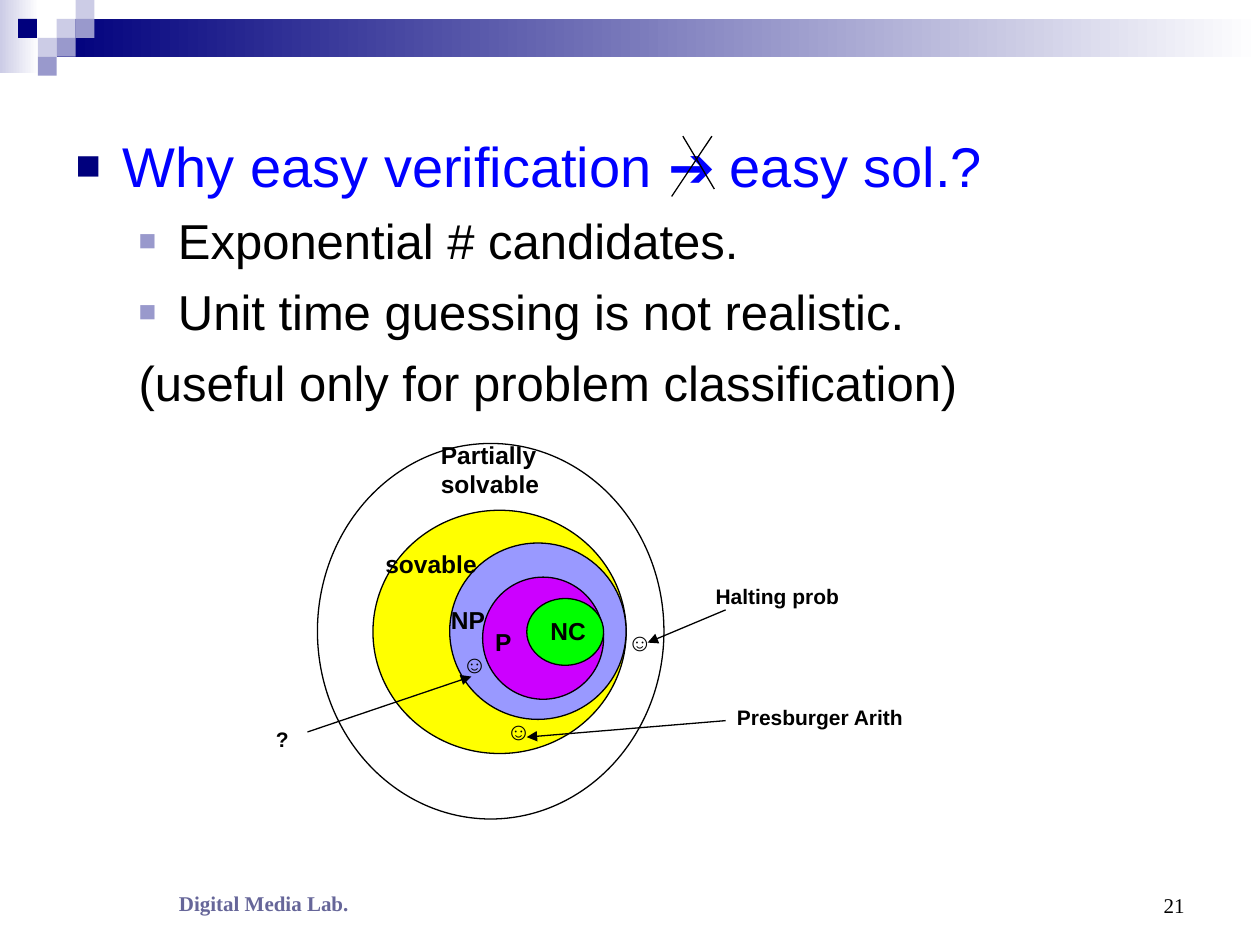
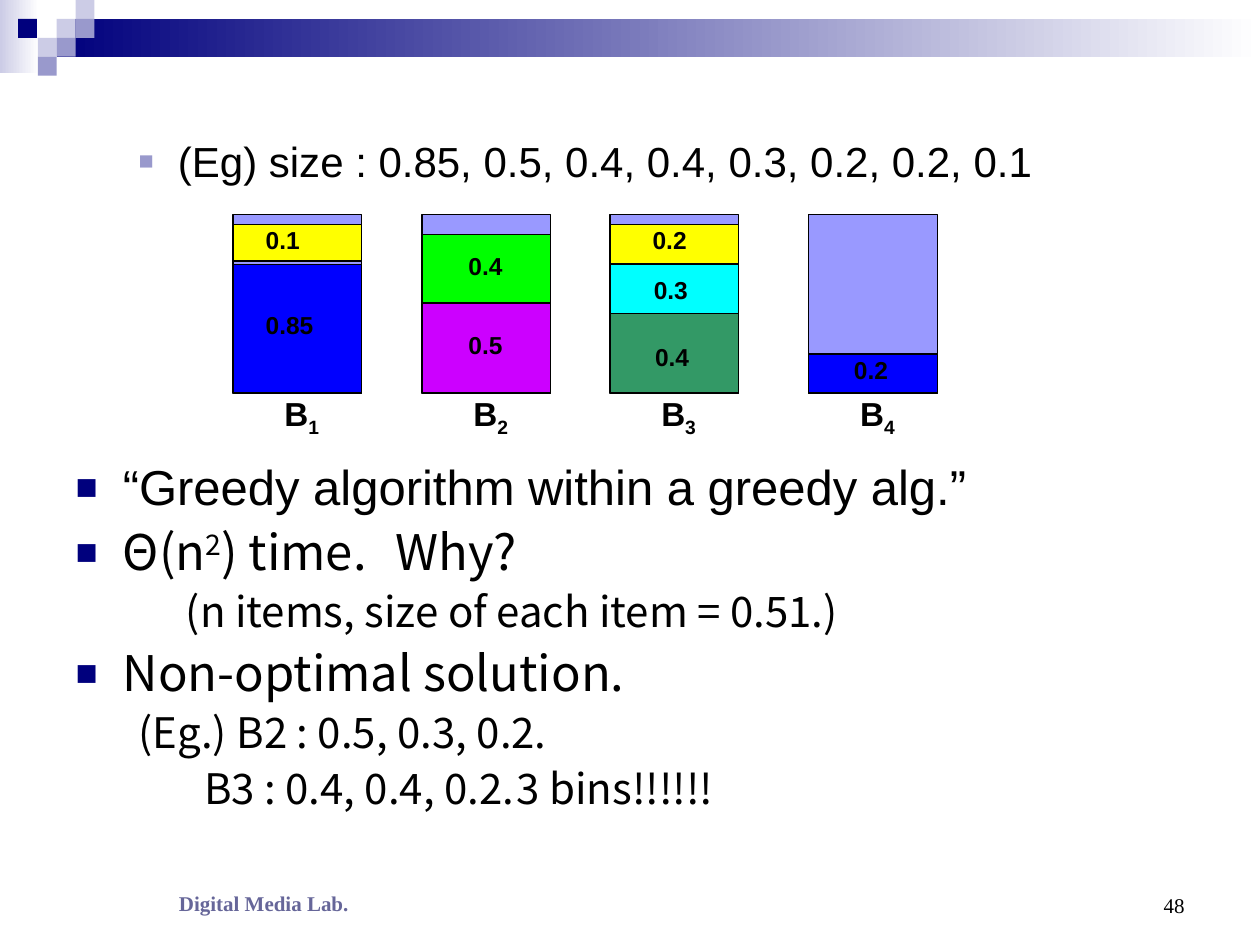
from dataclasses import dataclass

from lxml import etree
from pptx import Presentation
from pptx.dml.color import RGBColor
from pptx.enum import shapes as kinds, text as t
from pptx.oxml import ns
from pptx.util import Pt


@dataclass(frozen=True)
class Theme:
    # Colours
    navy: str = "00007D"
    steel: str = "9999CC"
    mist: str = "CCCCE6"
    white: str = "FFFFFF"
    black: str = "000000"
    blue: str = "0000FF"
    lilac: str = "9999FF"
    yellow: str = "FFFF00"
    purple: str = "CC00FF"
    green: str = "00FF00"
    teal: str = "339966"
    cyan: str = "00FFFF"
    lab: str = "666699"
    # Fonts and type sizes
    sans: str = "Arial"
    cjk: str = "Noto Sans CJK KR"
    serif: str = "Times New Roman"
    headline: int = 32
    large: int = 28
    medium: int = 24
    bin_name: int = 19
    label: int = 14
    note: int = 12
    outline: float = 0.75


THEME = Theme()

# Paragraph kinds: level, left margin, first-line indent, bullet colour and size
POINT = dict(level=0, left=27, first=-27, bullet=(THEME.navy, 75))
SUBPOINT = dict(level=1, left=58.5, first=-22.5, bullet=(THEME.steel, 60))
REMARK = dict(level=1, left=58.5, first=-22.5)


def set_all(target, values):
    for name, value in values.items():
        setattr(target, name, value)


def rgb(colour):
    return RGBColor.from_string(colour)


def add_xml(parent, tag, **attributes):
    return etree.SubElement(parent, ns.qn(tag), attributes)


class Deck:
    def __init__(self, theme):
        self.theme = theme
        self.show = Presentation()
        set_all(self.show, dict(slide_width=Pt(720), slide_height=Pt(540)))
        self.layout = self.show.slide_layouts[1]
        self.slide = None

    def new_slide(self, number):
        first = self.slide is None
        self.slide = self.show.slides.add_slide(self.layout)
        title = self.slide.shapes.title.element
        title.getparent().remove(title)
        if first:
            self.decorate_layout()
        self.text("Digital Media Lab.", 36.7, 491, 228.2, 36, self.theme.note,
                  font=self.theme.serif, colour=self.theme.lab,
                  align=t.PP_ALIGN.CENTER, anchor=t.MSO_ANCHOR.BOTTOM)
        self.text(str(number), 516.2, 491.8, 167.8, 36, self.theme.note,
                  font=self.theme.serif, bold=False,
                  align=t.PP_ALIGN.RIGHT, anchor=t.MSO_ANCHOR.BOTTOM)

    def decorate_layout(self):
        """Gradient bands and corner squares, shared by every slide."""
        th = self.theme
        rect = kinds.MSO_SHAPE.RECTANGLE
        band = [self.shape(rect, 0, 0, 22.3, 41.8, (th.white, th.mist), False),
                self.shape(rect, 32.4, 10.8, 687.6, 21.6, (th.white, th.navy), False)]
        squares = [(32.4, 10.8, th.mist), (43.2, 0, th.mist), (43.2, 10.8, th.steel),
                   (21.6, 21.6, th.mist), (10.3, 10.8, th.navy),
                   (32.4, 21.6, th.steel), (21.6, 32.4, th.steel)]
        band += [self.shape(rect, x, y, 10.8, 10.8, colour, False)
                 for x, y, colour in squares]
        for shape_id, piece in enumerate(band, 100):
            piece.element.nvSpPr.cNvPr.id = shape_id
            self.layout.shapes.element.append(piece.element)

    def shape(self, kind, x, y, width, height, fill, outlined=True):
        item = self.slide.shapes.add_shape(kind, Pt(x), Pt(y), Pt(width), Pt(height))
        item.shadow.inherit = False
        if isinstance(fill, tuple):
            item.fill.gradient()
            item.fill.gradient_angle = 180
            for stop, position, colour in zip(item.fill.gradient_stops, (0, 1), fill):
                set_all(stop, dict(position=position))
                stop.color.rgb = rgb(colour)
        else:
            item.fill.solid()
            item.fill.fore_color.rgb = rgb(fill)
        if outlined:
            self.stroke(item.line)
        else:
            item.line.fill.background()
        return item

    def stroke(self, line):
        line.color.rgb = rgb(self.theme.black)
        line.width = Pt(self.theme.outline)

    def line(self, x1, y1, x2, y2, arrow=False):
        link = self.slide.shapes.add_connector(
            kinds.MSO_CONNECTOR.STRAIGHT, Pt(x1), Pt(y1), Pt(x2), Pt(y2))
        self.stroke(link.line)
        if arrow:
            add_xml(link.line._get_or_add_ln(), "a:tailEnd", type="triangle")
        add_xml(link.element.spPr, "a:effectLst")

    def runs(self, paragraph, content, size, font, colour, bold=False):
        """Content is a string or a list of (string, baseline percent)."""
        pieces = [(content, 0)] if isinstance(content, str) else content
        for words, baseline in pieces:
            run = paragraph.add_run()
            run.text = words
            set_all(run.font, dict(size=Pt(size), name=font, bold=bold))
            run.font.color.rgb = rgb(colour)
            if baseline:
                run._r.get_or_add_rPr().set("baseline", str(baseline * 1000))

    def text(self, content, x, y, width, height, size, font=THEME.sans,
             colour=THEME.black, bold=True, align=t.PP_ALIGN.LEFT,
             anchor=t.MSO_ANCHOR.TOP):
        box = self.slide.shapes.add_textbox(Pt(x), Pt(y), Pt(width), Pt(height))
        set_all(box.text_frame, dict(word_wrap=True, vertical_anchor=anchor))
        paragraph = box.text_frame.paragraphs[0]
        paragraph.alignment = align
        self.runs(paragraph, content, size, font, colour, bold)

    def body(self, y, height, items, spacing=1.0):
        """Items are (kind, text, size, space before, overrides)."""
        holder = self.slide.placeholders[1]
        set_all(holder, dict(left=Pt(36), top=Pt(y), width=Pt(648), height=Pt(height)))
        frame = holder.text_frame
        set_all(frame, dict(auto_size=t.MSO_AUTO_SIZE.NONE, word_wrap=True,
                            vertical_anchor=t.MSO_ANCHOR.TOP))
        for index, (kind, content, size, before, extra) in enumerate(items):
            paragraph = frame.add_paragraph() if index else frame.paragraphs[0]
            style = {**kind, **extra}
            self.indent(paragraph, style)
            set_all(paragraph, dict(level=style["level"], line_spacing=spacing,
                                    space_before=Pt(before), space_after=Pt(0)))
            self.runs(paragraph, content, size, style.get("font", self.theme.sans),
                      style.get("colour", self.theme.black))

    def indent(self, paragraph, style):
        props = paragraph._p.get_or_add_pPr()
        props.set("marL", str(Pt(style["left"])))
        props.set("indent", str(Pt(style["first"])))
        if "bullet" in style:
            colour, percent = style["bullet"]
            add_xml(add_xml(props, "a:buClr"), "a:srgbClr", val=colour)
            add_xml(props, "a:buSzPct", val=str(percent * 1000))
            add_xml(props, "a:buFont", typeface=self.theme.sans)
            add_xml(props, "a:buChar", char="■")
        else:
            add_xml(props, "a:buNone")
        if "tab" in style:
            add_xml(add_xml(props, "a:tabLst"), "a:tab",
                    pos=str(Pt(style["tab"])), algn="l")


def verification_slide(deck):
    th = deck.theme
    deck.new_slide(21)
    deck.body(71.3, 390.2, [
        (POINT, "Why easy verification ➔ easy sol.?", th.headline, 0, dict(colour=th.blue)),
        (SUBPOINT, "Exponential # candidates.", th.large, 7, {}),
        (SUBPOINT, "Unit time guessing is not realistic.", th.large, 7, {}),
        (REMARK, "(useful only for problem classification)", th.large, 7, {}),
    ])

    # Nested problem classes, outermost first
    classes = [
        (181.4, 253.4, 198, 214.6, th.white),
        (213.1, 291.6, 144.7, 139, th.yellow),
        (257, 310.3, 100.8, 100.8, th.lilac),
        (275.8, 329.8, 69.1, 69.8, th.purple),
        (301, 342, 43.9, 38.2, th.green),
    ]
    for problem_class in classes:
        deck.shape(kinds.MSO_SHAPE.OVAL, *problem_class)

    # Class names and marked problems
    for name, x, y, width in [
        ("NC", 307.4, 348.5, 62), ("P", 275.8, 355, 62), ("NP", 250.6, 342, 62),
        ("sovable", 213.1, 310.3, 75.6), ("Partially solvable", 244.8, 247.7, 126),
        ("☺", 282.2, 405.4, 38.2), ("☺", 351.4, 355, 38.2), ("☺", 257, 367.2, 38.2),
    ]:
        deck.text(name, x, y, width, 24.5, th.label)

    # Example problems with their arrows
    for problem, x, y, width, arrow in [
        ("Halting prob", 401.8, 329.8, 95, (414.7, 348.5, 370.1, 367.2)),
        ("Presburger Arith", 414, 398.9, 120, (414.7, 411.8, 301, 421.2)),
        ("?", 150.5, 411.8, 24, (175.7, 418.3, 269.3, 386.6)),
    ]:
        deck.line(*arrow, arrow=True)
        deck.text(problem, x, y, width, 21.6, th.note)

    # Cross over the implication
    deck.line(390.2, 77.8, 408.2, 108)
    deck.line(406.8, 77.8, 383.8, 112.3)


def bin_packing_slide(deck):
    th = deck.theme
    deck.new_slide(48)
    noto = dict(font=th.cjk)
    deck.body(77, 414, [
        (SUBPOINT, "(Eg) size : 0.85, 0.5, 0.4, 0.4, 0.3, 0.2, 0.2, 0.1", th.medium, 0, {}),
        (POINT, "“Greedy algorithm within a greedy alg.”", th.large, 158, {}),
        (POINT, [("Θ(n", 0), ("2", 30), (") time.\tWhy?", 0)], th.large, 7,
         dict(noto, tab=183)),
        (REMARK, "(n items, size of each item = 0.51.)", th.medium, 6,
         dict(noto, left=63, first=0)),
        (POINT, "Non-optimal solution.", th.large, 7, noto),
        (REMARK, "(Eg.) B2 : 0.5, 0.3, 0.2.", th.medium, 6, noto),
        (REMARK, "B3 : 0.4, 0.4, 0.2.\t3 bins!!!!!!", th.medium, 6,
         dict(noto, left=0, first=73.5, tab=282)),
    ], spacing=0.9)

    # Bins: left edge, then items as (size, colour, top, height, label x, label y)
    bin_top, bin_width, bin_height = 122.4, 73.4, 102.2
    bins = [
        (133.2, [("0.85", th.blue, 151.2, 73.4, 11.5, 173.5),
                 ("0.1", th.yellow, 128.2, 20.9, 11.5, 125.3)]),
        (241.2, [("0.5", th.purple, 173.5, 51.1, 19.4, 185),
                 ("0.4", th.green, 133.9, 38.9, 19.4, 139.7)]),
        (348.5, [("0.4", th.teal, 179.3, 45.3, 18.7, 192.2),
                 ("0.2", th.yellow, 128.2, 22.3, 17.3, 125.3),
                 ("0.3", th.cyan, 151.2, 28.1, 18, 153.4)]),
        (462.2, [("0.2", th.blue, 202.3, 22.3, 18.7, 199.4)]),
    ]
    rect = kinds.MSO_SHAPE.RECTANGLE
    for number, (left, items) in enumerate(bins, 1):
        deck.shape(rect, left, bin_top, bin_width, bin_height, th.lilac)
        deck.text([("B", 0), (str(number), -25)], left + 22.3, 221, 45.4, 33, th.bin_name)
        for size, colour, top, height, label_x, label_y in items:
            deck.shape(rect, left, top, bin_width, height, colour)
            deck.text(size, left + label_x, label_y, 51.1, 24.5, th.label)


def main():
    deck = Deck(THEME)
    verification_slide(deck)
    bin_packing_slide(deck)
    deck.show.save("out.pptx")


if __name__ == "__main__":
    main()
